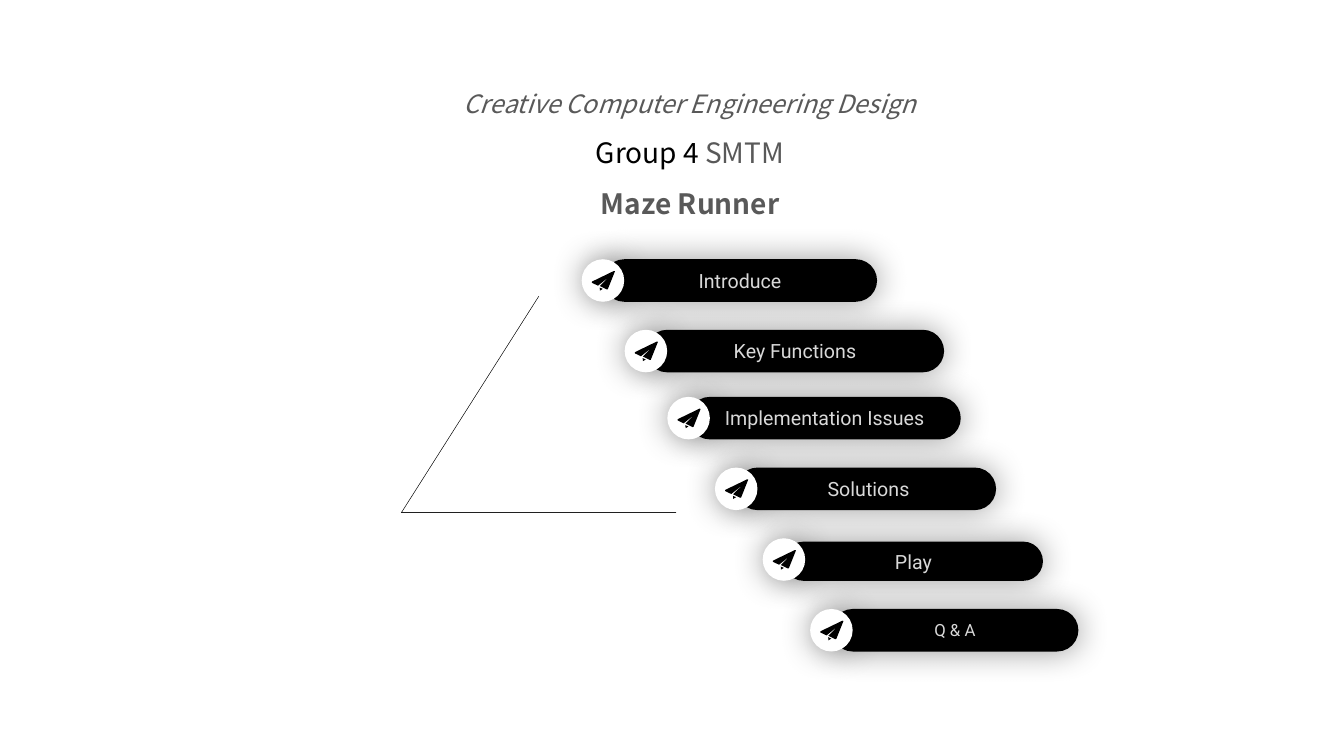
from lxml import etree
from pptx import Presentation
from pptx.dml.color import RGBColor
from pptx.enum.shapes import MSO_SHAPE
from pptx.enum.text import MSO_ANCHOR, MSO_AUTO_SIZE, PP_ALIGN
from pptx.oxml.ns import qn
from pptx.util import Pt

BLACK = RGBColor(0x00, 0x00, 0x00)
WHITE = RGBColor(0xFF, 0xFF, 0xFF)
GREY = RGBColor(0x59, 0x59, 0x59)
PALE = RGBColor(0xD9, 0xD9, 0xD9)
TRIANGLE, PILL, DISC = MSO_SHAPE.ISOSCELES_TRIANGLE, MSO_SHAPE.ROUNDED_RECTANGLE, MSO_SHAPE.OVAL
CENTER, MIDDLE, GROW = PP_ALIGN.CENTER, MSO_ANCHOR.MIDDLE, MSO_AUTO_SIZE.SHAPE_TO_FIT_TEXT
TITLE_FONT, ITEM_FONT = "Noto Sans CJK KR", "Roboto"

# Content: title lines as runs of (text, size, colour, bold, italic)
TITLE = [
    [("Creative Computer Engineering Design", 18, GREY, False, True)],
    [("Group 4 ", 20, BLACK, False, False), ("SMTM", 20, GREY, False, False)],
    [("Maze Runner", 20, GREY, True, False)],
]
# Agenda: text, size, disc left, disc top, pill width, pill height
AGENDA = [
    ("Introduce", 14, 415.5, 185.2, 195.8, 30.4),
    ("Key Functions", 14, 446.2, 235.6, 213, 30.4),
    ("Implementation Issues", 14, 476.7, 283.5, 194.4, 30.4),
    (" Solutions", 14, 510.7, 334, 185.6, 30.4),
    ("Play", 14, 544.8, 384.5, 185, 28),
    ("Q & A", 12, 578.7, 435, 176.4, 30.4),
]
DISC_SIZE = 30.4
# Paper plane outlines, measured from the corner of its disc
PLANE_TAIL = [(12.9, 20.2), (15.1, 21.2), (13.1, 22.4)]
PLANE_WING = [(23, 8.4), (23.8, 8.6), (18.7, 21.4), (18, 21.6), (13, 19.1),
              (20.2, 12), (11.7, 18.9), (7.3, 16.8), (7.3, 16)]


def paint(sp, color):
    sp.fill.solid()
    sp.fill.fore_color.rgb = color
    sp.line.fill.background()
    sp.shadow.inherit = False


def add_shadow(sp, alpha, blur, dist, angle):
    effects = sp._element.spPr.find(qn("a:effectLst"))
    shadow = etree.SubElement(effects, qn("a:outerShdw"), blurRad=str(Pt(blur)),
                              dist=str(Pt(dist)), dir=str(angle * 60000),
                              algn="ctr", rotWithShape="0")
    color = etree.SubElement(shadow, qn("a:srgbClr"), val=str(BLACK))
    etree.SubElement(color, qn("a:alpha"), val=str(alpha * 1000))


def add_shape(shapes, kind, x, y, w, h, color, shadow):
    sp = shapes.add_shape(kind, Pt(x), Pt(y), Pt(w), Pt(h))
    paint(sp, color)
    add_shadow(sp, *shadow)
    return sp


def add_run(p, text, font, size, color, bold=False, italic=False):
    r = p.add_run()
    r.text = text
    r.font.name, r.font.size = font, Pt(size)
    r.font.bold, r.font.italic = bold, italic
    r.font.color.rgb = color
    # East Asian face matches the Latin one
    etree.SubElement(r._r.rPr, qn("a:ea"), typeface=font)


def add_plane(shapes, x, y):
    tail, wing = ([(Pt(x + dx), Pt(y + dy)) for dx, dy in outline]
                  for outline in (PLANE_TAIL, PLANE_WING))
    builder = shapes.build_freeform(*tail[0])
    builder.add_line_segments(tail[1:])
    builder.move_to(*wing[0])
    builder.add_line_segments(wing[1:])
    paint(builder.convert_to_shape(), BLACK)


def add_item(shapes, text, size, x, y, w, h):
    # Pill starts at the disc's centre and shares its bottom edge
    pill = add_shape(shapes, PILL, x + DISC_SIZE / 2, y + DISC_SIZE - h, w, h, BLACK, GLOW)
    pill.adjustments[0] = 0.5
    tf = pill.text_frame
    tf.margin_left = tf.margin_right = tf.margin_top = tf.margin_bottom = 0
    tf.vertical_anchor = MIDDLE
    p = tf.paragraphs[0]
    p.alignment = CENTER
    add_run(p, text, ITEM_FONT, size, PALE)
    badge = shapes.add_group_shape().shapes
    add_shape(badge, DISC, x, y, DISC_SIZE, DISC_SIZE, WHITE, GLOW)
    add_plane(badge, x, y)


# Shadows: opacity, blur, distance, angle
EDGE = (100, 0, 1, 150)
GLOW = (40, 24, 0, 0)

prs = Presentation()
prs.slide_width, prs.slide_height = Pt(960), Pt(540)
slide = prs.slides.add_slide(prs.slide_layouts[6])

# Triangle
add_shape(slide.shapes, TRIANGLE, 287.3, 211, 196.6, 154.8, WHITE, EDGE)

# Title
box = slide.shapes.add_textbox(Pt(164.2), Pt(49), Pt(657.4), Pt(113))
tf = box.text_frame
tf.word_wrap = True
tf.auto_size = GROW
for i, runs in enumerate(TITLE):
    p = tf.add_paragraph() if i else tf.paragraphs[0]
    p.alignment = CENTER
    p.line_spacing = 1.5
    for text, size, color, bold, italic in runs:
        add_run(p, text, TITLE_FONT, size, color, bold, italic)

# Agenda
for item in AGENDA:
    add_item(slide.shapes, *item)

prs.save("out.pptx")
